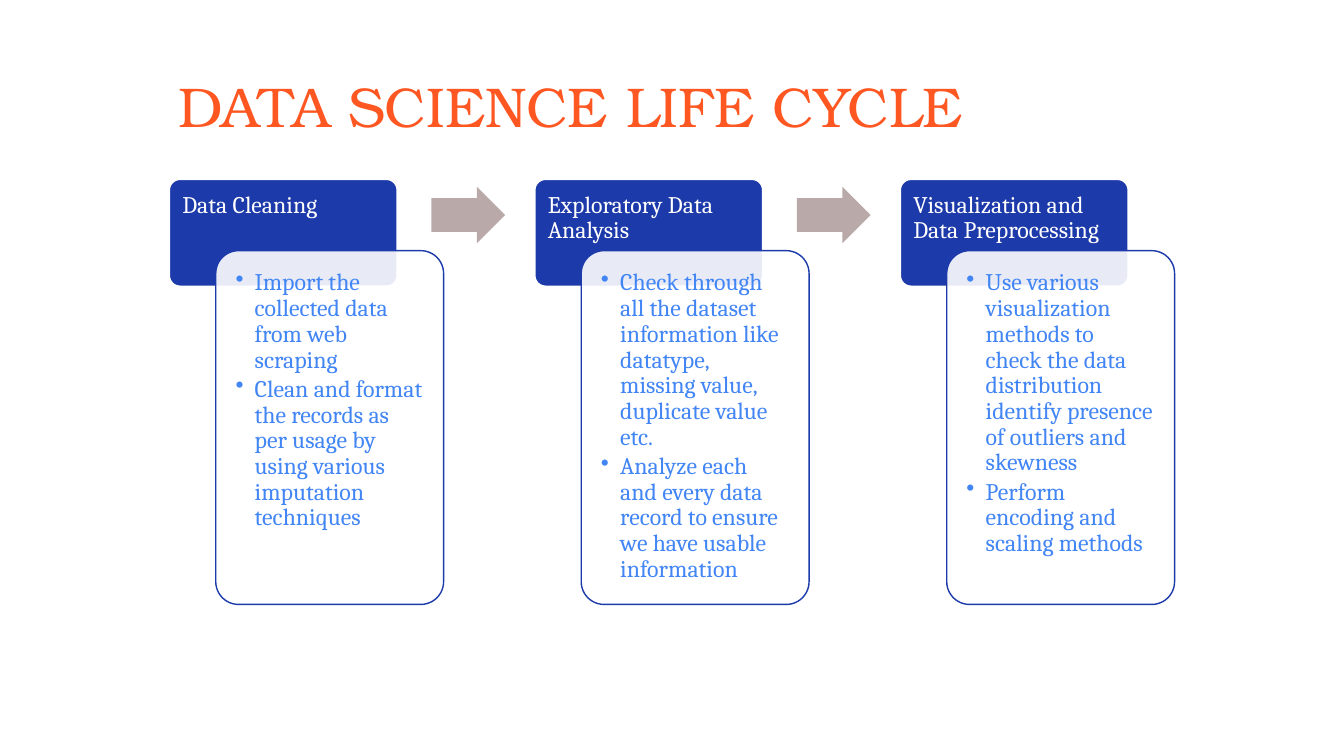
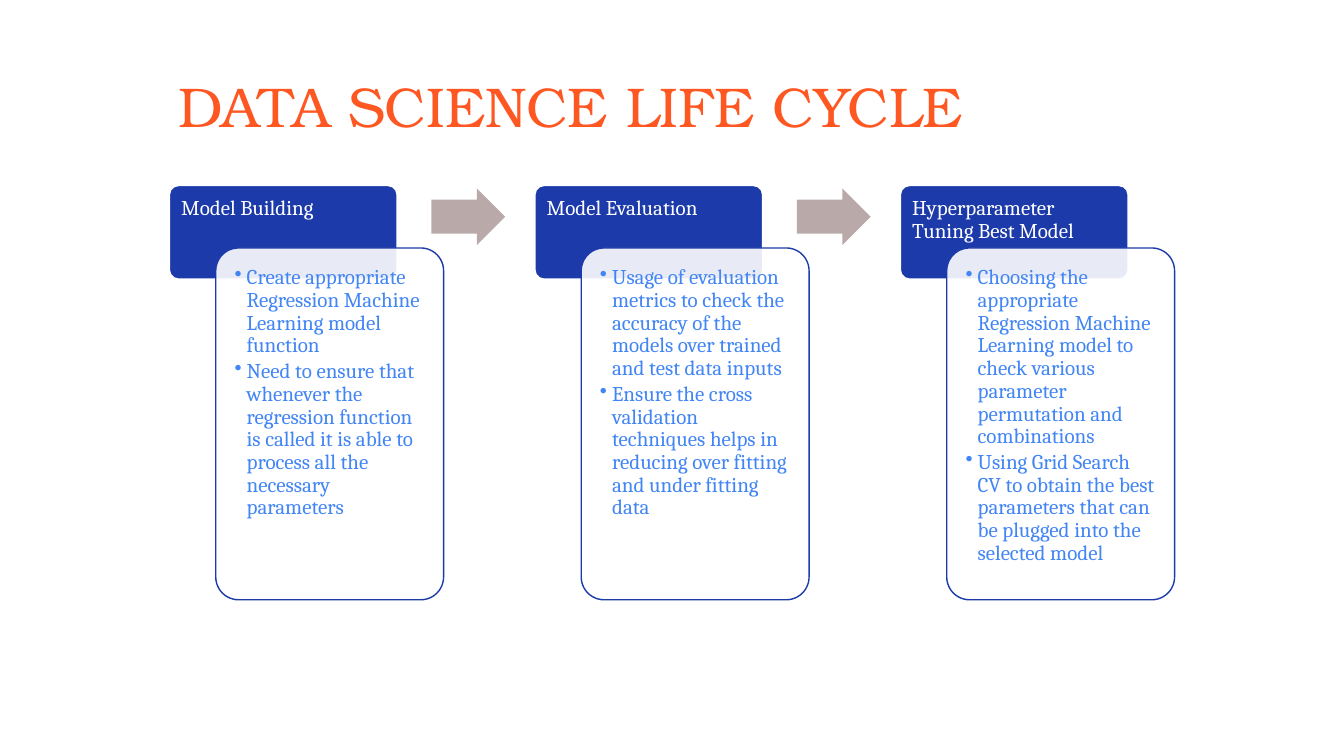
from lxml import etree
from pptx import Presentation
from pptx.dml.color import RGBColor
from pptx.enum.shapes import MSO_SHAPE
from pptx.enum.text import MSO_ANCHOR, MSO_AUTO_SIZE, PP_ALIGN
from pptx.oxml.ns import qn
from pptx.util import Inches, Pt

ROUNDED, ARROW = MSO_SHAPE.ROUNDED_RECTANGLE, MSO_SHAPE.RIGHT_ARROW
TOP, BOTTOM, LEFT = MSO_ANCHOR.TOP, MSO_ANCHOR.BOTTOM, PP_ALIGN.LEFT
NO_AUTOFIT = MSO_AUTO_SIZE.NONE

BLUE, SKY, ORANGE, TAUPE, WHITE = "1C3AA9", "4285F4", "FF5722", "B9A9A9", "FFFFFF"
TITLE_FONT, BODY_FONT = "TeX Gyre Bonum", "Cambria"
TITLE_TEXT = "DATA SCIENCE LIFE CYCLE"

# Column grid, in inches
FIRST_COLUMN, COLUMN_STEP, BOX_WIDTH = 1.68, 7.25 / 2, 2.26
CARD_OFFSET, ARROW_OFFSET = 0.46, 2.6
ARROW_WIDTH, ARROW_HEIGHT = 0.73, 0.56
HEADER_SHARE = 2 / 3  # part of a header left uncovered by its card

SLIDES = [
    {
        "top": 1.78, "header_height": 1.06, "card_height": 3.51,
        "size": 17, "header_inset": 0.1, "card_inset": 0.13,
        "indent": 0.19, "space": 2.5,
        "steps": [
            ("Data Cleaning", [
                "Import the collected data from web scraping",
                "Clean and format the records as per usage by using various "
                "imputation techniques"]),
            ("Exploratory Data Analysis", [
                "Check through all the dataset information like datatype, "
                "missing value, duplicate value etc.",
                "Analyze each and every data record to ensure we have usable "
                "information"]),
            ("Visualization and Data Preprocessing", [
                "Use various visualization methods to check the data "
                "distribution identify presence of outliers and skewness",
                "Perform encoding and scaling methods"]),
        ],
    },
    {
        "top": 1.84, "header_height": 0.93, "card_height": 3.49,
        "size": 15, "header_inset": 0.09, "card_inset": 0.12,
        "indent": 0.12, "space": 2.2,
        "steps": [
            ("Model Building", [
                "Create appropriate Regression Machine Learning model function",
                "Need to ensure that whenever the regression function is "
                "called it is able to process all the necessary parameters"]),
            ("Model Evaluation", [
                "Usage of evaluation metrics to check the accuracy of the "
                "models over trained and test data inputs",
                "Ensure the cross validation techniques helps in reducing "
                "over fitting and under fitting data"]),
            ("Hyperparameter Tuning Best Model", [
                "Choosing the appropriate Regression Machine Learning model "
                "to check various parameter permutation and combinations",
                "Using Grid Search CV to obtain the best parameters that can "
                "be plugged into the selected model"]),
        ],
    },
]


def add_block(slide, kind, place, adjustments, fill, line=None):
    shape = slide.shapes.add_shape(kind, *[Inches(length) for length in place])
    shape.shadow.inherit = False
    for index, value in enumerate(adjustments):
        shape.adjustments[index] = value
    shape.fill.solid()
    shape.fill.fore_color.rgb = RGBColor.from_string(fill)
    if line:
        shape.line.color.rgb = RGBColor.from_string(line)
        shape.line.width = Pt(1)
    else:
        shape.line.fill.background()
    return shape


def write_text(shape, lines, font, size, color, anchor, insets):
    """Fill a shape with left-aligned paragraphs and return them."""
    frame = shape.text_frame
    frame.text = "\n".join(lines)
    frame_format = {"word_wrap": True, "auto_size": NO_AUTOFIT,
                    "vertical_anchor": anchor}
    for side, inset in zip(("left", "top", "right", "bottom"), insets):
        frame_format[f"margin_{side}"] = Inches(inset)
    for name, value in frame_format.items():
        setattr(frame, name, value)
    for paragraph in frame.paragraphs:
        paragraph.alignment, paragraph.line_spacing = LEFT, 0.9
        run_font = paragraph.runs[0].font
        run_font.name, run_font.size = font, Pt(size)
        run_font.color.rgb = RGBColor.from_string(color)
    return frame.paragraphs


presentation = Presentation()
presentation.slide_width, presentation.slide_height = Inches(13.33), Inches(7.5)
title_only = presentation.slide_layouts[5]

for content in SLIDES:
    slide = presentation.slides.add_slide(title_only)
    title = slide.shapes.title
    title_place = {"left": 1.67, "top": 0.09, "width": 9.99, "height": 1.35}
    for name, value in title_place.items():
        setattr(title, name, Inches(value))
    write_text(title, [TITLE_TEXT], TITLE_FONT, 40, ORANGE, BOTTOM,
               (0.1, 0.05, 0.1, 0.05))

    top, size = content["top"], content["size"]
    visible_header = content["header_height"] * HEADER_SHARE
    for column, (heading, bullets) in enumerate(content["steps"]):
        left = FIRST_COLUMN + column * COLUMN_STEP

        header = add_block(slide, ROUNDED,
                           (left, top, BOX_WIDTH, content["header_height"]),
                           [0.1], BLUE, WHITE)
        write_text(header, [heading], BODY_FONT, size, WHITE, TOP,
                   [content["header_inset"]] * 4)

        card = add_block(slide, ROUNDED,
                         (left + CARD_OFFSET, top + visible_header,
                          BOX_WIDTH, content["card_height"]),
                         [0.1], WHITE, BLUE)
        card_color = card.fill._xPr.find(f".//{qn('a:srgbClr')}")
        etree.SubElement(card_color, qn("a:alpha"), val="90000")
        paragraphs = write_text(card, bullets, BODY_FONT, size, SKY, TOP,
                                [content["card_inset"]] * 4)
        for index, paragraph in enumerate(paragraphs):
            paragraph.level = 1
            paragraph.space_before = Pt(content["space"] if index else 0)
            properties = paragraph._p.get_or_add_pPr()
            indent = Inches(content["indent"])
            properties.set("marL", str(indent))
            properties.set("indent", str(-indent))
            bullet_color = etree.SubElement(properties, qn("a:buClr"))
            etree.SubElement(bullet_color, qn("a:srgbClr"), val=SKY)
            etree.SubElement(properties, qn("a:buChar"), char="•")

        if column < len(content["steps"]) - 1:
            arrow_top = top + (visible_header - ARROW_HEIGHT) / 2
            add_block(slide, ARROW,
                      (left + ARROW_OFFSET, arrow_top, ARROW_WIDTH, ARROW_HEIGHT),
                      [0.6, 0.5], TAUPE)

presentation.save("out.pptx")
